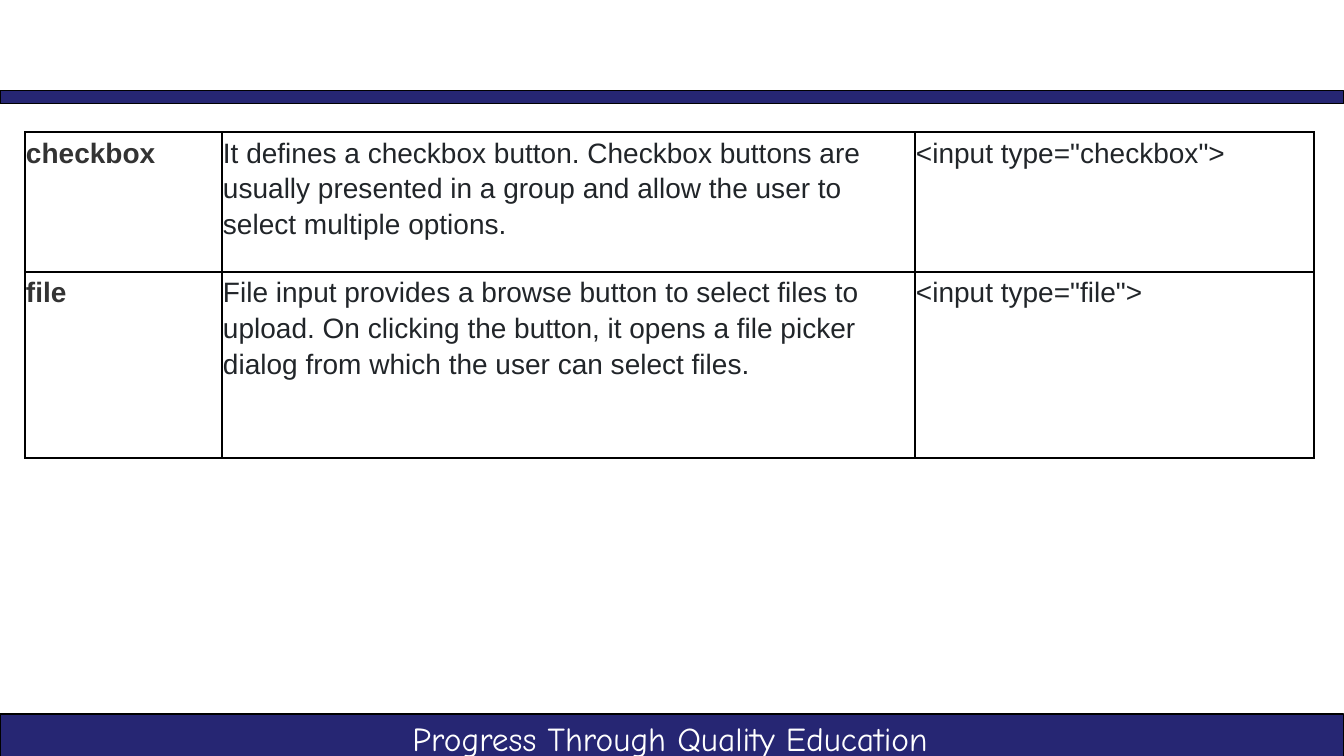
from dataclasses import dataclass

from lxml import etree
from pptx import Presentation
from pptx import util as u
from pptx.dml.color import RGBColor
from pptx.enum import shapes, text
from pptx.oxml.ns import qn

SLIDE_WIDTH, SLIDE_HEIGHT = 1344, 756
EMU_PER_PX = 12192000 / SLIDE_WIDTH


@dataclass(frozen=True)
class Theme:
    navy: str = "262673"
    black: str = "000000"
    white: str = "FFFFFF"
    term: str = "333333"
    body: str = "212529"
    table_font: str = "Arial"
    motto_font: str = "Comic Neue"
    table_size: float = 20
    motto_size: float = 23.9
    bar_line: float = 0.75
    grid_line: float = 1


THEME = Theme()

INPUT_TYPES = [
    ("checkbox",
     "It defines a checkbox button. Checkbox buttons are usually presented "
     "in a group and allow the user to select multiple options.",
     '<input type="checkbox">'),
    ("file",
     "File input provides a browse button to select files to upload. "
     "On clicking the button, it opens a file picker dialog from which "
     "the user can select files.",
     '<input type="file">'),
]
COLUMN_WIDTHS = [197, 693, 399]
ROW_HEIGHTS = [140, 186]


def px(length):
    return u.Emu(round(length * EMU_PER_PX))


def paint(fill, color):
    fill.solid()
    fill.fore_color.rgb = RGBColor.from_string(color)


def style_font(font, name, size, color, bold=False):
    font.name = name
    font.size = u.Pt(size)
    font.bold = bold
    font.color.rgb = RGBColor.from_string(color)


def add_bar(page, top, height):
    bar = page.shapes.add_shape(
        shapes.MSO_SHAPE.RECTANGLE, 0, px(top), px(SLIDE_WIDTH), px(height))
    bar.shadow.inherit = False
    paint(bar.fill, THEME.navy)
    bar.line.width = u.Pt(THEME.bar_line)
    bar.line.color.rgb = RGBColor.from_string(THEME.black)


def add_motto(page, words, left, top, width, height):
    box = page.shapes.add_textbox(px(left), px(top), px(width), px(height))
    box.text_frame.word_wrap = True
    para = box.text_frame.paragraphs[0]
    para.text = words
    para.alignment = text.PP_ALIGN.CENTER
    style_font(para.font, THEME.motto_font, THEME.motto_size, THEME.white)


def add_borders(cell):
    """Draw all four sides; call before filling, as the schema puts lines first."""
    properties = cell._tc.get_or_add_tcPr()
    for side in ("lnL", "lnR", "lnT", "lnB"):
        line = etree.SubElement(properties, qn(f"a:{side}"),
                                w=str(u.Pt(THEME.grid_line)))
        solid = etree.SubElement(line, qn("a:solidFill"))
        etree.SubElement(solid, qn("a:srgbClr"), val=THEME.black)


def fill_cell(cell, words, is_term):
    cell.margin_left = cell.margin_right = px(1)
    cell.margin_top = cell.margin_bottom = px(1)
    add_borders(cell)
    paint(cell.fill, THEME.white)
    para = cell.text_frame.paragraphs[0]
    para.text = words
    para.line_spacing = 1.15
    para.space_after = u.Pt(12)
    style_font(para.font, THEME.table_font, THEME.table_size,
               THEME.term if is_term else THEME.body, is_term)


def add_input_table(page, left, top):
    table = page.shapes.add_table(
        len(ROW_HEIGHTS), len(COLUMN_WIDTHS), px(left), px(top),
        px(sum(COLUMN_WIDTHS)), px(sum(ROW_HEIGHTS))).table
    table.first_row = table.horz_banding = False
    for column, width in zip(table.columns, COLUMN_WIDTHS):
        column.width = px(width)
    for row, height, entry in zip(table.rows, ROW_HEIGHTS, INPUT_TYPES):
        row.height = px(height)
        for index, words in enumerate(entry):
            fill_cell(row.cells[index], words, is_term=index == 0)


def main():
    deck = Presentation()
    deck.slide_width, deck.slide_height = px(SLIDE_WIDTH), px(SLIDE_HEIGHT)
    page = deck.slides.add_slide(deck.slide_layouts.get_by_name("Blank"))
    add_bar(page, top=714, height=46)
    add_bar(page, top=91, height=13)
    add_motto(page, "Progress Through Quality Education", 351, 713, 638, 53)
    add_input_table(page, left=25, top=132)
    deck.save("out.pptx")


if __name__ == "__main__":
    main()
